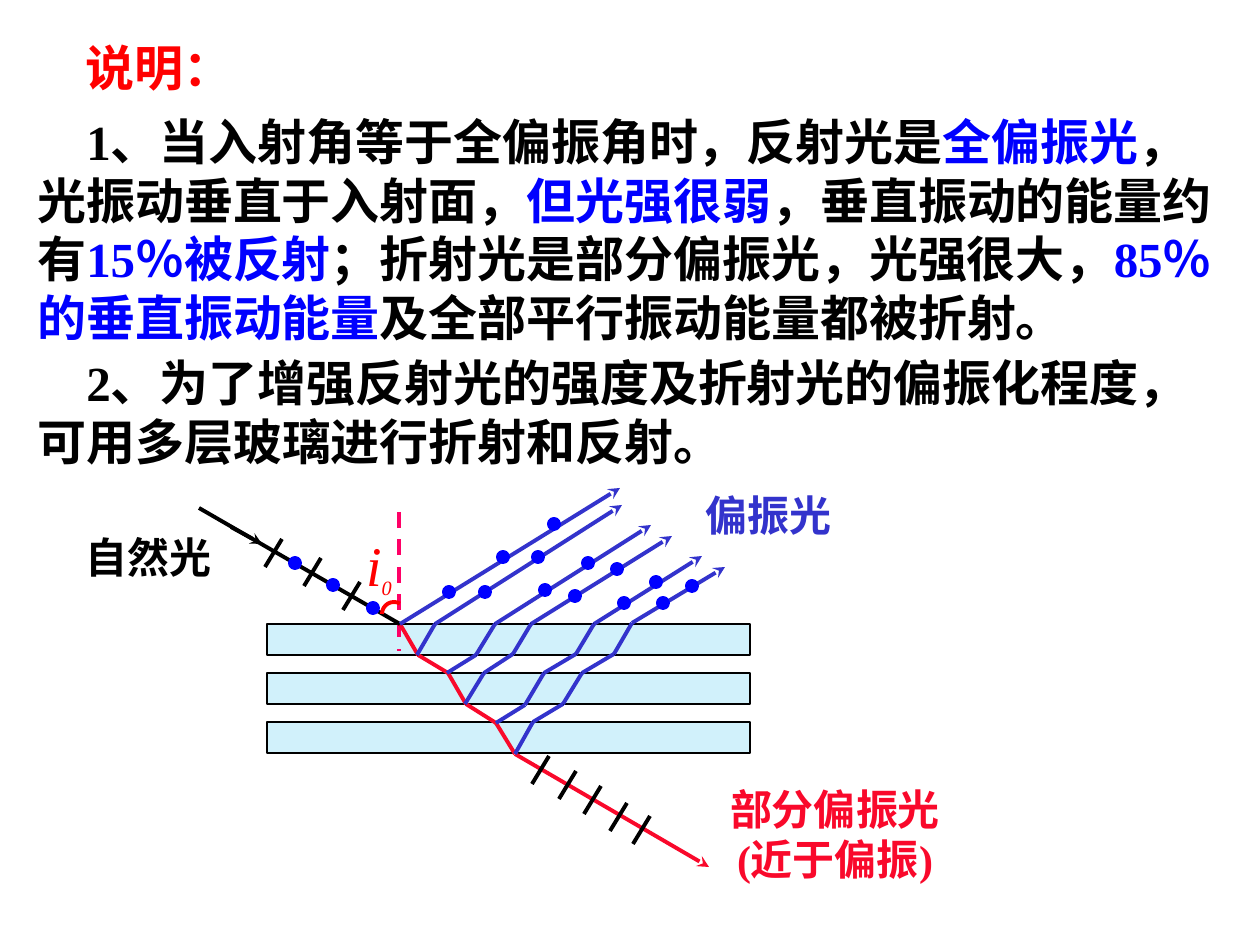
from itertools import pairwise

from lxml import etree
from pptx import Presentation
from pptx.dml.color import RGBColor
from pptx.enum.dml import MSO_LINE
from pptx.enum.shapes import MSO_CONNECTOR, MSO_SHAPE
from pptx.enum.text import MSO_ANCHOR, PP_ALIGN
from pptx.oxml.ns import qn
from pptx.util import Emu, Pt

EMU_PER_PX = 914400 / 126
FONT = "Times New Roman"
COLORS = {
    "black": "000000", "red": "FF0000", "blue": "0000FF", "ray": "3333CC",
    "refracted": "F9092B", "normal": "FF0066", "glass": "D1F1FB",
}
TICK = (-17, 28)
DOT = 10

POINT_1 = [
    ("1、当入射角等于全偏振角时，反射光是", "black"), ("全偏振光", "blue"),
    ("，光振动垂直于入射面，", "black"), ("但光强很弱", "blue"),
    ("，垂直振动的能量约有", "black"), ("15％被反射", "blue"),
    ("；折射光是部分偏振光，光强很大，", "black"),
    ("85％的垂直振动能量", "blue"), ("及全部平行振动能量都被折射。", "black"),
]
POINT_2 = [("2、为了增强反射光的强度及折射光的偏振化程度，可用多层玻璃进行折射和反射。", "black")]

REFRACTED_RAY = [(400, 624), (418, 655), (448, 673), (466, 704),
                 (496, 723), (515, 754), (709, 867)]
REFLECTED_RAYS = [
    [(400, 624), (620, 488)],
    [(417, 655), (435, 624), (622, 505)],
    [(447, 673), (476, 655), (495, 624), (651, 525)],
    [(465, 704), (484, 673), (513, 654), (531, 624), (672, 536)],
    [(496, 723), (525, 705), (544, 673), (576, 654), (594, 624), (702, 556)],
    [(515, 754), (533, 722), (563, 704), (582, 673), (614, 654), (632, 623), (725, 567)],
]
TICK_TOPS = [(282, 539), (321, 558), (360, 582),
             (549, 756), (576, 771), (601, 786), (627, 803), (650, 816)]
DOT_CENTRES = [
    (295, 563), (333, 585), (373, 608),
    (449, 592), (503, 557), (554, 524), (485, 592), (538, 557),
    (545, 590), (588, 563), (575, 596), (617, 569),
    (624, 603), (656, 582), (663, 603), (692, 586),
]


def px(length):
    return Emu(round(length * EMU_PER_PX))


def color(name):
    return RGBColor.from_string(COLORS[name])


def apply(target, **values):
    for name, value in values.items():
        setattr(target, name, value)


def add_run(paragraph, text, tint, **font):
    run = paragraph.add_run()
    run.text = text
    apply(run.font, **{"name": FONT, "bold": True, **font})
    run.font.color.rgb = color(tint)
    return run


def add_text(slide, box, paragraphs, size, align=PP_ALIGN.LEFT,
             anchor=MSO_ANCHOR.TOP, indent=0):
    frame = slide.shapes.add_textbox(*map(px, box)).text_frame
    apply(frame, word_wrap=True, vertical_anchor=anchor)
    for index, runs in enumerate(paragraphs):
        paragraph = frame.add_paragraph() if index else frame.paragraphs[0]
        paragraph.alignment = align
        if indent:
            paragraph._p.get_or_add_pPr().set("indent", str(px(indent)))
        for text, tint in runs:
            add_run(paragraph, text, tint, size=Pt(size))


def add_title(slide):
    title = slide.shapes.title
    apply(title, left=px(73), top=px(31), width=px(189), height=px(72))
    apply(title.text_frame, word_wrap=True, vertical_anchor=MSO_ANCHOR.TOP)
    paragraph = title.text_frame.paragraphs[0]
    paragraph.alignment = PP_ALIGN.LEFT
    add_run(paragraph, "说明：", "red", size=Pt(28))


def add_line(slide, start, end, tint, arrow=False):
    line = slide.shapes.add_connector(MSO_CONNECTOR.STRAIGHT, *map(px, (*start, *end)))
    line.line.color.rgb = color(tint)
    line.line.width = Pt(2.25)
    properties = line._element.spPr
    if arrow:
        etree.SubElement(properties.find(qn("a:ln")), qn("a:tailEnd"), type="stealth")
    etree.SubElement(properties, qn("a:effectLst"))
    return line


def add_ray(slide, points, tint):
    """Join the points with lines, the last one ending in an arrowhead."""
    for start, end in pairwise(points):
        add_line(slide, start, end, tint, arrow=end == points[-1])


def add_filled(slide, kind, box, fill, outline, width):
    shape = slide.shapes.add_shape(kind, *map(px, box))
    shape.shadow.inherit = False
    if fill:
        shape.fill.solid()
        shape.fill.fore_color.rgb = color(fill)
    else:
        shape.fill.background()
    shape.line.color.rgb = color(outline)
    shape.line.width = Pt(width)
    return shape


def add_angle(slide):
    arc = add_filled(slide, MSO_SHAPE.ARC, (382, 602, 24, 24), None, "red", 2.25)
    for index, degrees in enumerate((180, 300)):
        arc.adjustments[index] = degrees * 0.6  # 60000ths of a degree over 100000
    frame = slide.shapes.add_textbox(*map(px, (346, 524, 66, 82))).text_frame
    apply(frame, word_wrap=True, vertical_anchor=MSO_ANCHOR.MIDDLE)
    paragraph = frame.paragraphs[0]
    paragraph.alignment = PP_ALIGN.CENTER
    add_run(paragraph, "i", "red", size=Pt(32), bold=False, italic=True)
    subscript = add_run(paragraph, "0", "red", size=Pt(20), bold=False, italic=True)
    subscript._r.get_or_add_rPr().set("baseline", "-25000")


def add_diagram(slide):
    for layer in range(3):
        add_filled(slide, MSO_SHAPE.RECTANGLE, (267, 624 + 49 * layer, 483, 31),
                   "glass", "black", 1.5)
    normal = add_line(slide, (399, 512), (399, 651), "normal")
    normal.line.dash_style = MSO_LINE.DASH
    add_ray(slide, REFRACTED_RAY, "refracted")
    add_line(slide, (199, 508), (400, 624), "black")
    add_line(slide, (231, 527), (262, 544), "black", arrow=True)
    for ray in REFLECTED_RAYS:
        add_ray(slide, ray, "ray")
    for x, y in TICK_TOPS:
        add_line(slide, (x, y), (x + TICK[0], y + TICK[1]), "black")
    for x, y in DOT_CENTRES:
        add_filled(slide, MSO_SHAPE.OVAL, (x - DOT / 2, y - DOT / 2, DOT, DOT),
                   "blue", "blue", 2.25)
    add_angle(slide)


def main():
    deck = Presentation()
    apply(deck, slide_width=px(1260), slide_height=px(945))
    slide = deck.slides.add_slide(deck.slide_layouts[5])
    add_title(slide)
    add_text(slide, (25, 105, 1211, 248), [POINT_1], 28, indent=49)
    add_text(slide, (25, 346, 1181, 131), [POINT_2], 28,
             anchor=MSO_ANCHOR.MIDDLE, indent=49)
    add_diagram(slide)
    add_text(slide, (73, 525, 158, 63), [[("自然光", "black")]], 24)
    add_text(slide, (693, 483, 199, 63), [[("偏振光", "ray")]], 24)
    add_text(slide, (693, 777, 284, 113),
             [[("部分偏振光", "refracted")], [("(近于偏振)", "refracted")]], 24,
             align=PP_ALIGN.CENTER)
    deck.save("out.pptx")


if __name__ == "__main__":
    main()
